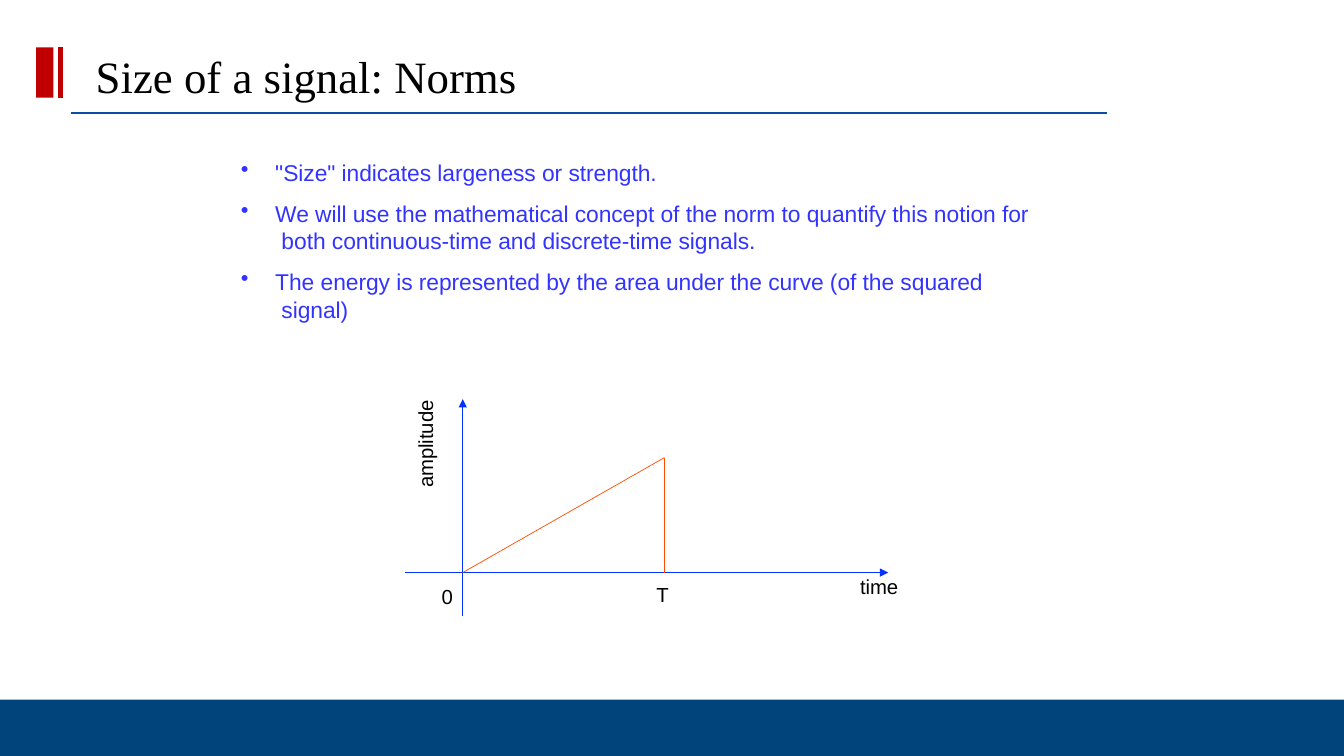
from lxml import etree
from pptx import Presentation
from pptx import util as u
from pptx.dml.color import RGBColor
from pptx.enum import shapes, text
from pptx.oxml.ns import qn

COLORS = {
    "footer": "00447C", "rule": "0B4DA2", "accent": "C00000", "black": "000000",
    "bullet": "3333FF", "axis": "0433FF", "signal": "FF4C00",
}
ORIGIN_X, ORIGIN_Y = 4.59, 5.68
PEAK_X, PEAK_Y = 6.59, 4.54

# Each bullet is a list of lines.
BULLETS = [
    ['"Size" indicates largeness or strength.'],
    ["We will use the mathematical concept of the norm to quantify this notion for",
     " both continuous-time and discrete-time signals."],
    ["The energy is represented by the area under the curve (of the squared",
     " signal)"],
]


def rgb(name):
    return RGBColor.from_string(COLORS[name])


def add_bar(page, left, top, width, height, color):
    bar = page.shapes.add_shape(
        shapes.MSO_SHAPE.RECTANGLE, *map(u.Inches, (left, top, width, height)))
    bar.shadow.inherit = False
    bar.fill.solid()
    bar.fill.fore_color.rgb = rgb(color)
    bar.line.fill.background()


def add_line(page, start, end, color, weight, arrow=False):
    line = page.shapes.add_connector(
        shapes.MSO_CONNECTOR.STRAIGHT, *map(u.Inches, (*start, *end)))
    line.line.color.rgb = rgb(color)
    line.line.width = u.Pt(weight)
    if arrow:
        etree.SubElement(line.line._get_or_add_ln(), qn("a:tailEnd"), type="triangle")
    etree.SubElement(line._element.spPr, qn("a:effectLst"))


def add_box(page, left, top, width, height, inset=0.01):
    box = page.shapes.add_textbox(*map(u.Inches, (left, top, width, height)))
    frame = box.text_frame
    frame.word_wrap = True
    frame.auto_size = text.MSO_AUTO_SIZE.SHAPE_TO_FIT_TEXT
    frame.margin_left = frame.margin_right = frame.margin_bottom = 0
    frame.margin_top = u.Inches(inset)
    return frame


def add_span(para, words, size, color, font="Arial", spacing=0):
    """Add a run; spacing is in hundredths of a point."""
    span = para.add_run()
    span.text = words
    span.font.size = u.Pt(size)
    span.font.name = font
    span.font.color.rgb = rgb(color)
    if spacing:
        span.font._element.set("spc", str(spacing))


def add_label(page, words, left, top, width, height, vertical=False):
    frame = add_box(page, left, top, width, height, 0 if vertical else 0.02)
    para = frame.paragraphs[0]
    if vertical:
        frame._txBody.bodyPr.set("vert", "vert270")
        para.line_spacing = u.Pt(17)
    add_span(para, words, 14.5, "black", spacing=-5)


def add_title(page, words):
    frame = add_box(page, 0.94, 0.47, 4.83, 0.55)
    frame.vertical_anchor = text.MSO_ANCHOR.BOTTOM
    para = frame.paragraphs[0]
    para._p.get_or_add_pPr().set("marL", str(u.Inches(0.01)))
    add_span(para, words, 32, "black", "Times New Roman")


def add_bullets(page):
    frame = add_box(page, 2.38, 1.42, 7.91, 1.81, inset=0.15)
    for index, lines in enumerate(BULLETS):
        para = frame.add_paragraph() if index else frame.paragraphs[0]
        props = para._p.get_or_add_pPr()
        props.set("marL", str(u.Inches(0.35)))
        props.set("indent", str(u.Inches(-0.34)))
        etree.SubElement(props, qn("a:buChar"), char="•")
        if index:
            para.space_before = u.Pt(9.8)
        for number, line in enumerate(lines):
            if number:
                para.add_line_break()
            add_span(para, line, 16.3, "bullet", spacing=-5)


def add_graph(page):
    origin, peak = (ORIGIN_X, ORIGIN_Y), (PEAK_X, PEAK_Y)
    add_line(page, (4.02, ORIGIN_Y), (8.81, ORIGIN_Y), "axis", 0.65, arrow=True)
    add_line(page, (ORIGIN_X, 6.11), (ORIGIN_X, 3.96), "axis", 0.65, arrow=True)
    add_line(page, origin, peak, "signal", 0.5)
    add_line(page, peak, (PEAK_X, ORIGIN_Y), "signal", 0.5)
    add_label(page, "time", 8.53, 5.68, 0.41, 0.26)
    add_label(page, "amplitude", 4.1, 3.94, 0.24, 0.9, vertical=True)
    add_label(page, "0", 4.38, 5.78, 0.14, 0.26)
    add_label(page, "T", 6.51, 5.76, 0.15, 0.26)


def main():
    deck = Presentation()
    deck.slide_width, deck.slide_height = u.Inches(13.33), u.Inches(7.5)
    page = deck.slides.add_slide(deck.slide_layouts[6])
    add_bar(page, 0, 6.94, 13.33, 0.56, "footer")
    add_line(page, (0.7, 1.12), (10.98, 1.12), "rule", 1.5)
    add_bar(page, 0.36, 0.47, 0.17, 0.5, "accent")
    add_line(page, (0.6, 0.47), (0.6, 0.97), "accent", 3)
    add_title(page, "Size of a signal: Norms")
    add_bullets(page)
    add_graph(page)
    deck.save("out.pptx")


if __name__ == "__main__":
    main()
